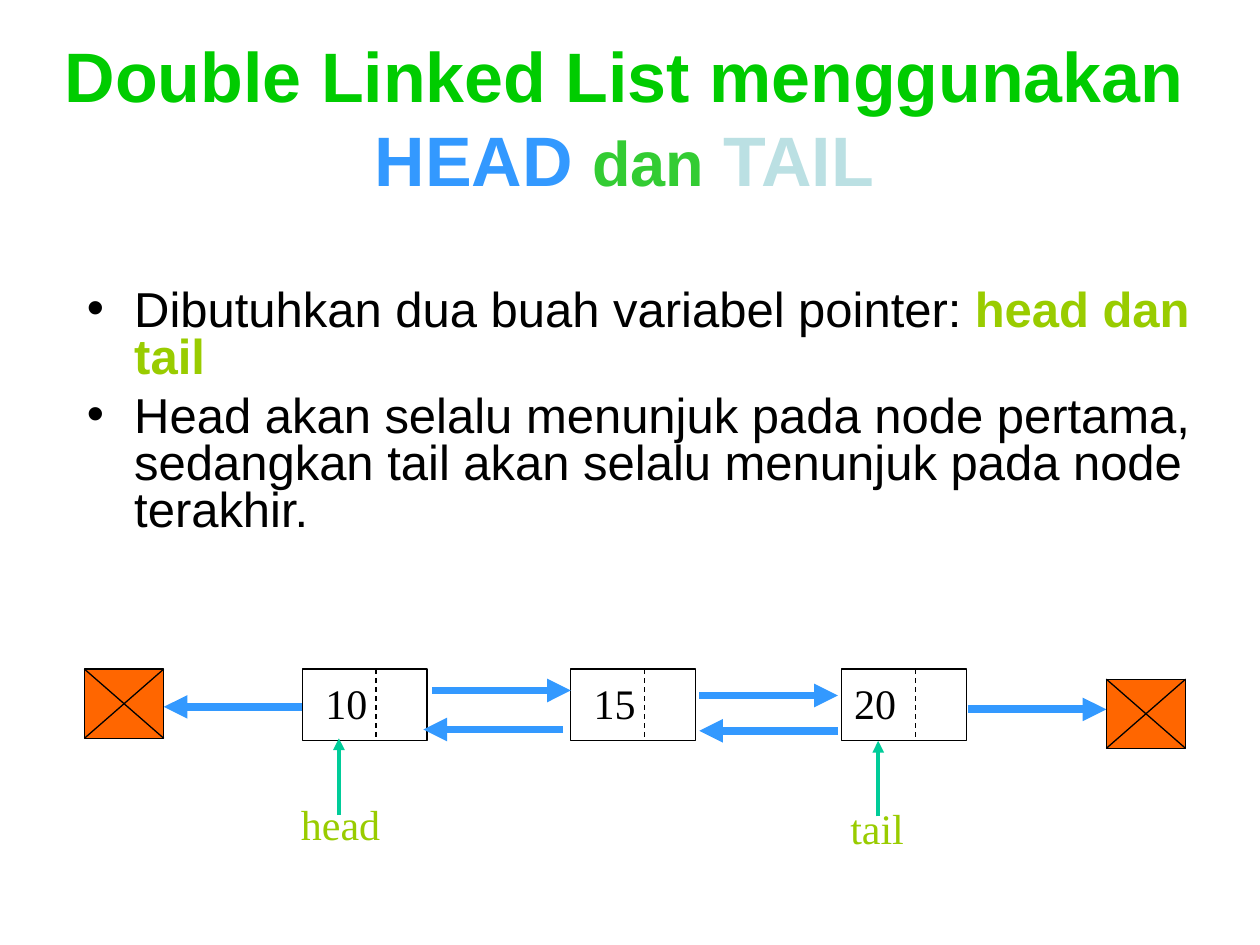
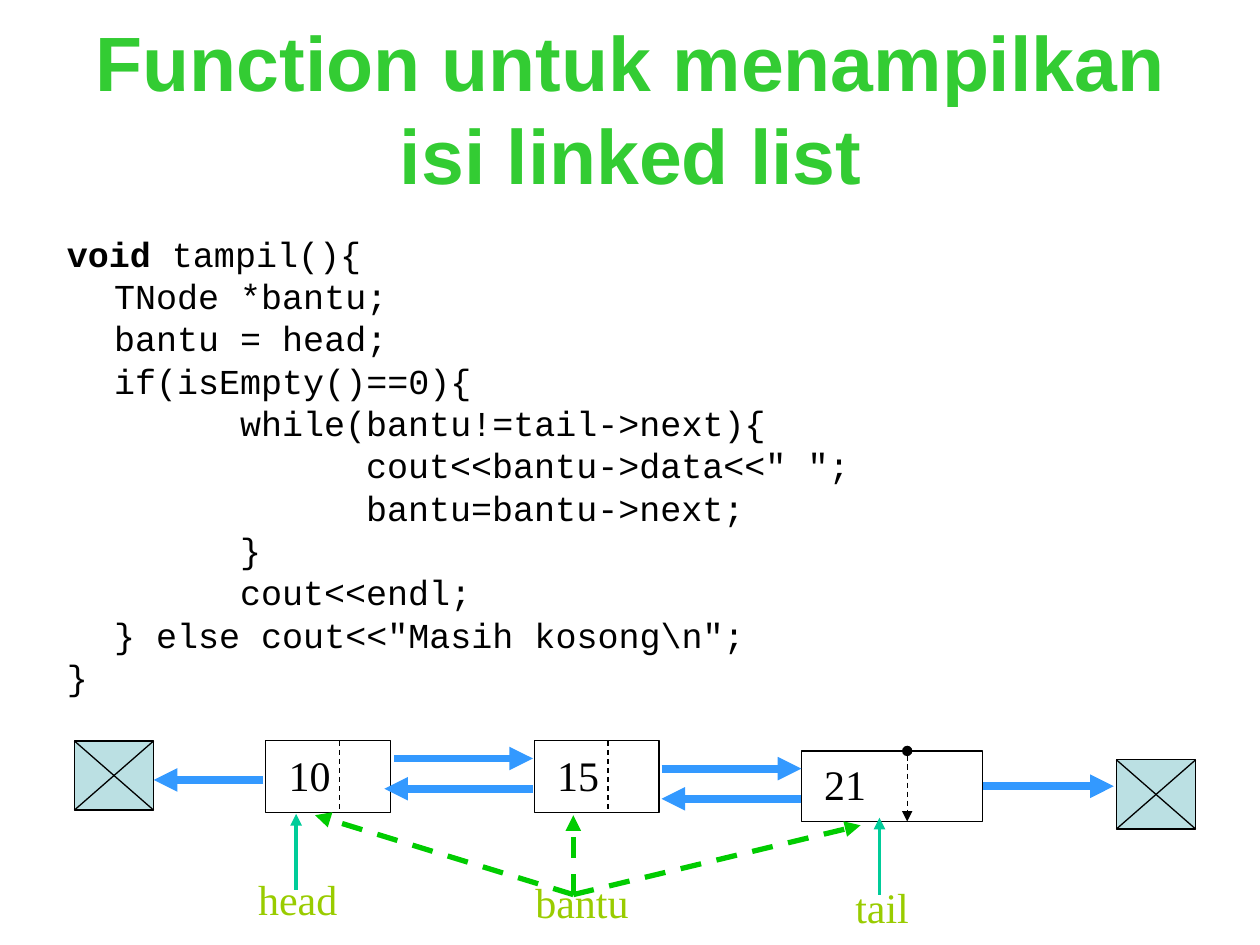
from lxml import etree
from pptx import Presentation
from pptx.dml.color import RGBColor
from pptx.enum.dml import MSO_LINE
from pptx.enum.shapes import MSO_CONNECTOR, MSO_SHAPE
from pptx.enum.text import MSO_ANCHOR, MSO_AUTO_SIZE, PP_ALIGN
from pptx.oxml.ns import qn
from pptx.util import Emu, Inches, Pt

RECT = MSO_SHAPE.RECTANGLE
STRAIGHT = MSO_CONNECTOR.STRAIGHT
DASH = MSO_LINE.DASH
MIDDLE = MSO_ANCHOR.MIDDLE
CENTER, LEFT = PP_ALIGN.CENTER, PP_ALIGN.LEFT
NO_FIT = MSO_AUTO_SIZE.NONE
SANS, SERIF, MONO = "Arial", "Times New Roman", "Courier New"
BLACK, WHITE = "000000", "FFFFFF"
GREEN, BRIGHT, LIME = "33CC33", "00CC00", "99CC00"
BLUE, PALE, ORANGE, TEAL = "3399FF", "BBE0E3", "FF6600", "00CC99"
CELL = Inches(0.1)
INDENT, STEP = 3.75, 10
NODE_W, NODE_H = 9.9, 5.7
NULL_W, NULL_H = 6.3, 5.5
RIGHT_SIDE = 3

CODE = (
    (0, " tampil(){"),
    (1, "TNode *bantu;"),
    (1, "bantu = head;"),
    (1, "if(isEmpty()==0){"),
    (2, "while(bantu!=tail->next){"),
    (3, 'cout<<bantu->data<<" ";'),
    (3, "bantu=bantu->next;"),
    (2, "}"),
    (2, "cout<<endl;"),
    (1, '} else cout<<"Masih kosong\\n";'),
    (0, "}"),
)


def grid(*cells):
    return [Emu(round(c * CELL)) for c in cells]


def rgb(color):
    return RGBColor.from_string(color)


def add_run(p, text, size, color, font=SANS, bold=False):
    r = p.add_run()
    r.text = text
    r.font.name = font
    r.font.size = Pt(size)
    r.font.bold = bold
    r.font.color.rgb = rgb(color)


def place(sp, box):
    sp.left, sp.top, sp.width, sp.height = grid(*box)
    sp.text_frame.auto_size = NO_FIT
    return sp.text_frame


def add_title(s, box, parts, size, lift=0):
    tf = place(s.shapes.title, box)
    tf.vertical_anchor = MIDDLE
    tf.margin_bottom = Inches(0.05 + lift)
    p = tf.paragraphs[0]
    p.alignment = CENTER
    p.line_spacing = Pt(size * 1.2)
    for text, run_size, color in parts:
        add_run(p, text, run_size, color, bold=True)


def set_indent(p, depth, bullet):
    pPr = p._p.get_or_add_pPr()
    margin = grid(INDENT + STEP * (depth - 1) if depth else 0)[0]
    pPr.set("marL", str(int(margin)))
    pPr.set("indent", str(-int(margin) if bullet else 0))
    if bullet:
        etree.SubElement(pPr, qn("a:buChar")).set("char", bullet)
    else:
        etree.SubElement(pPr, qn("a:buNone"))


def add_body(s, box, lines, size, gap, font, bullet=None):
    tf = place(s.placeholders[1], box)
    for i, (depth, parts) in enumerate(lines):
        p = tf.add_paragraph() if i else tf.paragraphs[0]
        p.line_spacing = Pt(round(size * 1.2 * 0.8, 1))
        p.space_before = Pt(gap)
        set_indent(p, depth, bullet)
        for text, color, bold in parts:
            add_run(p, text, size, color, font, bold)


def add_line(s, start, end, color=BLACK, width=0.75, dash=None, head=None, tail=None):
    c = s.shapes.add_connector(STRAIGHT, *grid(*start, *end))
    c.line.color.rgb = rgb(color)
    c.line.width = Pt(width)
    if dash:
        c.line.dash_style = dash
    ln = c.line._get_or_add_ln()
    for tag, kind in (("a:headEnd", head), ("a:tailEnd", tail)):
        if kind:
            etree.SubElement(ln, qn(tag)).set("type", kind)
    etree.SubElement(c._element.spPr, qn("a:effectLst"))
    return c


def link(s, x1, x2, y):
    return add_line(s, (x1, y), (x2, y), BLUE, 4.5, tail="triangle")


def pointer(s, x, bottom, top):
    add_line(s, (x, bottom), (x, top), TEAL, 2.25, tail="triangle")


def add_box(s, x, y, w, h, fill):
    sp = s.shapes.add_shape(RECT, *grid(x, y, w, h))
    sp.shadow.inherit = False
    sp.fill.solid()
    sp.fill.fore_color.rgb = rgb(fill)
    sp.line.color.rgb = rgb(BLACK)
    sp.line.width = Pt(0.75)
    return sp


def add_node(s, x, y, text, w=NODE_W, h=NODE_H, split=5.85, head=None, tail=None):
    sp = add_box(s, x, y, w, h, WHITE)
    tf = sp.text_frame
    tf.vertical_anchor = MIDDLE
    p = tf.paragraphs[0]
    p.alignment = LEFT
    p.line_spacing = 0.95
    add_run(p, text, 24, BLACK, SERIF)
    add_line(s, (x + split, y), (x + split, y + h), dash=DASH, head=head, tail=tail)
    return sp


def add_null(s, x, y, fill):
    add_box(s, x, y, NULL_W, NULL_H, fill)
    add_line(s, (x, y), (x + NULL_W, y + NULL_H))
    add_line(s, (x + NULL_W, y), (x, y + NULL_H))


def add_label(s, x, y, w, text):
    tf = s.shapes.add_textbox(*grid(x, y, w, 4.8)).text_frame
    tf.word_wrap = True
    p = tf.paragraphs[0]
    p.line_spacing = 0.95
    add_run(p, text, 24, LIME, SERIF)


def head_tail_slide(s):
    add_title(s, (3.4, 3, 92.3, 12.5), [
        ("Double Linked List menggunakan ", 40, BRIGHT),
        ("HEAD ", 40, BLUE), ("dan", 36, GREEN), (" TAIL", 40, PALE)], 40)
    add_body(s, (5.9, 22.5, 90, 49.5), [
        (1, [("Dibutuhkan dua buah variabel pointer: ", BLACK, False),
             ("head dan tail", LIME, True)]),
        (1, [("Head akan selalu menunjuk pada node pertama, sedangkan tail "
              "akan selalu menunjuk pada node terakhir.", BLACK, False)]),
    ], 28, 7, SANS, "•")
    y = 53.1
    for x, text in ((24, " 10"), (45.3, " 15"), (66.8, "20")):
        add_node(s, x, y, text)
    for x1, x2, row in ((34.3, 45.3, 54.8), (55.5, 66.5, 55.2), (76.8, 87.8, 56.3),
                        (44.7, 33.6, 57.9), (66.5, 55.5, 58), (24, 13, 56.1)):
        link(s, x1, x2, row)
    add_null(s, 87.8, 53.9, ORANGE)
    add_null(s, 6.7, y, ORANGE)
    pointer(s, 26.9, 64.7, 58.6)
    pointer(s, 69.7, 64.8, 58.8)
    add_label(s, 22.9, 63.2, 9, "head")
    add_label(s, 66.5, 63.5, 7, "tail")


def display_slide(s):
    add_title(s, (5.1, 6, 90, 12.5),
              [("Function untuk menampilkan isi linked list", 44, GREEN)], 44, lift=0.75)
    lines = [(depth, [(text, BLACK, False)]) for depth, text in CODE]
    lines[0][1].insert(0, ("void", BLACK, True))
    add_body(s, (4.3, 18.6, 90, 49.5), lines, 20, 5, MONO)
    y = 58.8
    add_node(s, 21.1, y, " 10")
    add_node(s, 42.4, y, " 15")
    last = add_node(s, 63.6, 59.6, " 21", 14.4, 5.6, 8.4, "oval", "triangle")
    for x1, x2, row in ((31.3, 42.3, 60.2), (52.5, 63.6, 61), (42.3, 30.5, 62.6),
                        (63.6, 52.5, 63.4), (20.9, 12.2, 61.9)):
        link(s, x1, x2, row)
    link(s, 78, 88.4, 62.4).begin_connect(last, RIGHT_SIDE)
    add_null(s, 88.6, 60.3, PALE)
    add_null(s, 5.9, y, PALE)
    for end in ((25, 64.7), (45.5, 64.7), (68.3, 65.5)):
        add_line(s, (45.5, 71), end, BRIGHT, 3, DASH, tail="triangle")
    pointer(s, 23.5, 70.6, 64.6)
    pointer(s, 69.8, 71, 64.9)
    add_label(s, 19.5, 69.1, 9, "head")
    add_label(s, 41.5, 69.4, 10, "bantu")
    add_label(s, 66.9, 69.8, 7, "tail")


def main():
    prs = Presentation()
    prs.slide_width, prs.slide_height = Inches(10), Inches(7.5)
    for build in (head_tail_slide, display_slide):
        build(prs.slides.add_slide(prs.slide_layouts[1]))
    prs.save("out.pptx")


if __name__ == "__main__":
    main()
